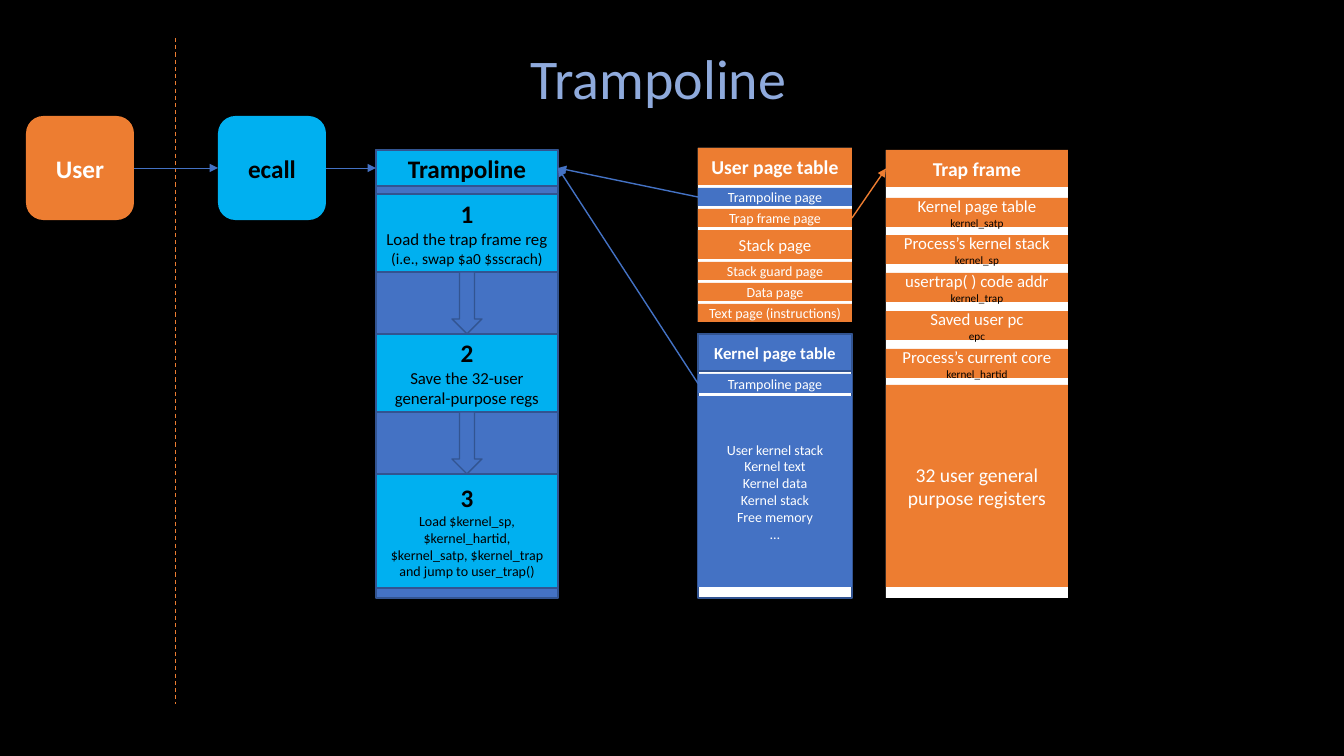
from dataclasses import dataclass

from lxml.etree import SubElement
from pptx import Presentation
from pptx.dml.color import RGBColor
from pptx.enum.dml import MSO_LINE
from pptx.enum.shapes import MSO_CONNECTOR as Conn, MSO_SHAPE as Geo
from pptx.enum.text import MSO_ANCHOR as Anchor, PP_ALIGN as Align
from pptx.oxml.ns import qn
from pptx.util import Emu, Pt

SCALE = 914400 / 100.8
ORANGE, BLUE, CYAN, EDGE = "ED7D31", "4472C4", "00B0F0", "325491"
WHITE, BLACK, TITLE = "FFFFFF", "000000", "8FAADC"
LEFT, RIGHT = 1, 3


@dataclass(frozen=True)
class Line:
    text: str
    size: int
    color: str = WHITE
    bold: bool = False


@dataclass(frozen=True)
class Box:
    x: int
    y: int
    w: int
    h: int
    fill: str
    lines: tuple[Line, ...] = ()
    edge: str = ""
    geo: int = Geo.RECTANGLE


@dataclass(frozen=True)
class Row:
    h: int
    fill: str
    lines: tuple[Line, ...]
    edge: str = ""


@dataclass(frozen=True)
class Link:
    start: str
    start_side: int
    end: str
    end_side: int
    color: str
    width: float


def px(n: float) -> Emu:
    return Emu(round(n * SCALE))


def rgb(color: str) -> RGBColor:
    return RGBColor.from_string(color)


def write(tf, lines: tuple[Line, ...]) -> None:
    tf.word_wrap = True
    for i, line in enumerate(lines):
        p = tf.paragraphs[0] if i == 0 else tf.add_paragraph()
        p.alignment = Align.CENTER
        r = p.add_run()
        r.text = line.text
        r.font.color.rgb = rgb(line.color)
        fmt = {"name": "Calibri", "size": Pt(line.size), "bold": line.bold}
        for key, value in fmt.items():
            setattr(r.font, key, value)


def draw_box(s, box: Box):
    sp = s.shapes.add_shape(box.geo, px(box.x), px(box.y), px(box.w), px(box.h))
    sp.shadow.inherit = False
    sp.fill.solid()
    sp.fill.fore_color.rgb = rgb(box.fill)
    if box.edge:
        sp.line.color.rgb = rgb(box.edge)
        sp.line.width = Pt(1)
    else:
        sp.line.fill.background()
    sp.text_frame.vertical_anchor = Anchor.MIDDLE
    write(sp.text_frame, box.lines)
    return sp


def draw_stack(s, x: int, y: int, w: int, gap: int, rows: list[Row]) -> list:
    shapes = []
    for row in rows:
        shapes.append(draw_box(s, Box(x, y, w, row.h, row.fill, row.lines, row.edge)))
        y += row.h + gap
    return shapes


def style_line(cxn, color: str, width: float) -> None:
    cxn.line.color.rgb = rgb(color)
    cxn.line.width = Pt(width)
    SubElement(cxn._element.spPr, qn("a:effectLst"))


def draw_link(s, boxes: dict, link: Link) -> None:
    cxn = s.shapes.add_connector(Conn.STRAIGHT, 0, 0, 0, 0)
    cxn.begin_connect(boxes[link.start], link.start_side)
    cxn.end_connect(boxes[link.end], link.end_side)
    style_line(cxn, link.color, link.width)
    SubElement(cxn.line._get_or_add_ln(), qn("a:tailEnd"), type="triangle")


def small(text: str, fill: str = ORANGE, h: int = 18) -> Row:
    return Row(h, fill, (Line(text, 10),))


prs = Presentation()
prs.slide_width, prs.slide_height = px(1344), px(756)
s = prs.slides.add_slide(prs.slide_layouts[6])
s.background.fill.solid()
s.background.fill.fore_color.rgb = rgb(BLACK)

title = s.shapes.add_textbox(px(193), px(39), px(931), px(78))
write(title.text_frame, (Line("Trampoline", 40, TITLE),))

boundary = s.shapes.add_connector(Conn.STRAIGHT, px(176), px(38), px(176), px(704))
style_line(boundary, ORANGE, 0.75)
boundary.line.dash_style = MSO_LINE.DASH

boxes = {}
for name, x, fill, color in (("User", 26, ORANGE, WHITE), ("ecall", 218, CYAN, BLACK)):
    label = (Line(name, 18, color, True),)
    boxes[name] = draw_box(s, Box(x, 116, 108, 104, fill, label, geo=Geo.ROUNDED_RECTANGLE))

TRAMP_X, PAGE_X, FRAME_X = 376, 698, 886
WIDE, PAGE_W, GAP = 182, 154, 3

draw_box(s, Box(TRAMP_X, 150, WIDE, 448, BLUE, edge=EDGE))
tramp_head = (Line("Trampoline", 18, BLACK, True),)
boxes["trampoline"] = draw_box(s, Box(TRAMP_X, 150, WIDE, 36, CYAN, tramp_head, EDGE))

steps = [
    (78, [("Load the trap frame reg", 12), ("(i.e., swap $a0 $sscrach)", 11)]),
    (78, [("Save the 32-user general-purpose regs", 12)]),
    (114, [("Load $kernel_sp, $kernel_hartid, $kernel_satp, $kernel_trap "
            "and jump to user_trap()", 10)]),
]
step_rows = [
    Row(h, CYAN, (Line(str(n), 18, BLACK, True), *(Line(t, size, BLACK) for t, size in texts)), EDGE)
    for n, (h, texts) in enumerate(steps, 1)
]
STEP_GAP, ARROW_W = 62, 30
draw_stack(s, TRAMP_X, 194, WIDE, STEP_GAP, step_rows)
for y in (272, 412):
    arrow_x = TRAMP_X + (WIDE - ARROW_W) // 2
    draw_box(s, Box(arrow_x, y, ARROW_W, STEP_GAP, BLUE, edge=EDGE, geo=Geo.DOWN_ARROW))

draw_box(s, Box(PAGE_X, 148, PAGE_W, 174, WHITE))
user_pages = draw_stack(s, PAGE_X, 148, PAGE_W, GAP, [
    Row(37, ORANGE, (Line("User page table", 14, bold=True),)),
    small("Trampoline page", BLUE),
    small("Trap frame page"),
    Row(29, ORANGE, (Line("Stack page", 12),)),
    small("Stack guard page"),
    small("Data page"),
    small("Text page (instructions)"),
])
boxes["user trampoline"], boxes["user trap frame"] = user_pages[1:3]

draw_box(s, Box(PAGE_X, 334, PAGE_W, 264, WHITE, edge=EDGE))
memory = ("User kernel stack", "Kernel text", "Kernel data", "Kernel stack", "Free memory", "…")
kernel_pages = draw_stack(s, PAGE_X, 334, PAGE_W, GAP, [
    Row(37, BLUE, (Line("Kernel page table", 12, bold=True),), EDGE),
    small("Trampoline page", BLUE, 19),
    Row(191, BLUE, tuple(Line(text, 10) for text in memory)),
])
boxes["kernel trampoline"] = kernel_pages[1]

draw_box(s, Box(FRAME_X, 150, WIDE, 448, WHITE))
frame_head = (Line("Trap frame", 14, bold=True),)
boxes["trap frame"] = draw_box(s, Box(FRAME_X, 150, WIDE, 37, ORANGE, frame_head))
fields = [
    ("Kernel page table", "kernel_satp"),
    ("Process’s kernel stack", "kernel_sp"),
    ("usertrap( ) code addr", "kernel_trap"),
    ("Saved user pc", "epc"),
    ("Process’s current core", "kernel_hartid"),
]
for i, (label, field) in enumerate(fields):
    field_lines = (Line(label, 12), Line(field, 8, BLACK))
    draw_box(s, Box(FRAME_X, 198 + i * 151 // 4, WIDE, 29, ORANGE, field_lines))
registers = (Line("32 user general purpose registers", 14),)
draw_box(s, Box(FRAME_X, 385, WIDE, 202, ORANGE, registers))

for link in (
    Link("User", RIGHT, "ecall", LEFT, BLUE, 0.5),
    Link("ecall", RIGHT, "trampoline", LEFT, BLUE, 0.5),
    Link("user trampoline", LEFT, "trampoline", RIGHT, BLUE, 1),
    Link("kernel trampoline", LEFT, "trampoline", RIGHT, BLUE, 1),
    Link("user trap frame", RIGHT, "trap frame", LEFT, ORANGE, 1),
):
    draw_link(s, boxes, link)

prs.save("out.pptx")
